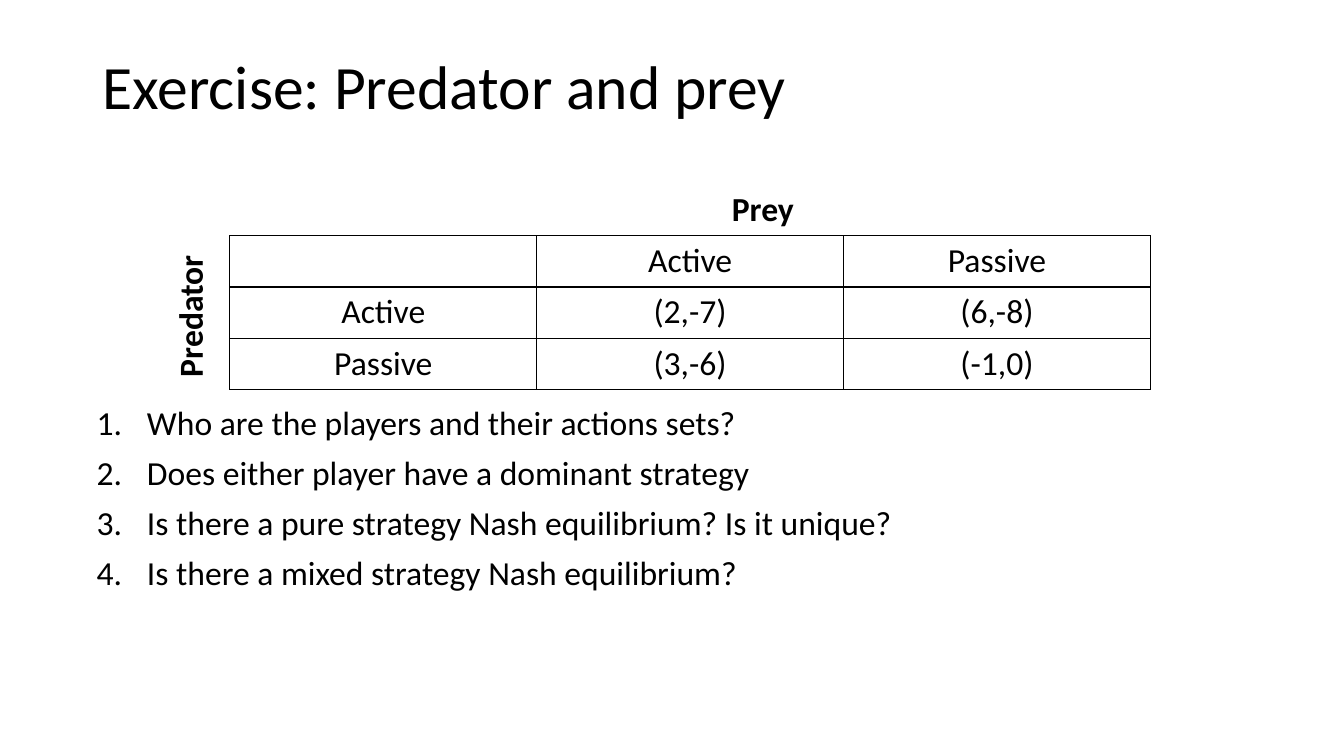
from dataclasses import dataclass

from lxml import etree
from pptx import Presentation
from pptx.dml.color import RGBColor
from pptx.enum.text import MSO_ANCHOR, PP_ALIGN
from pptx.oxml.ns import qn
from pptx.util import Inches, Pt

CENTER = PP_ALIGN.CENTER
TOP, MIDDLE = MSO_ANCHOR.TOP, MSO_ANCHOR.MIDDLE


@dataclass(frozen=True)
class Theme:
    font: str = "Calibri"
    ink: str = "000000"
    title_size: int = 44
    text_size: int = 24
    border_width: int = 1


THEME = Theme()

PAYOFFS = [
    ["", "Active", "Passive"],
    ["Active", "(2,-7)", "(6,-8)"],
    ["Passive", "(3,-6)", "(-1,0)"],
]
QUESTIONS = [
    "Who are the players and their actions sets?",
    "Does either player have a dominant strategy",
    "Is there a pure strategy Nash equilibrium? Is it unique?",
    "Is there a mixed strategy Nash equilibrium?",
]


def write(para, text, size=THEME.text_size, bold=False, **layout):
    """Add one styled span and set the paragraph's layout values."""
    for name, value in layout.items():
        setattr(para, name, value)
    span = para.add_run()
    span.text = text
    span.font.color.rgb = RGBColor.from_string(THEME.ink)
    for name, value in {"name": THEME.font, "size": Pt(size), "bold": bold}.items():
        setattr(span.font, name, value)


def add_text(page, area, lines, anchor=TOP, **style):
    """Add a wrapping text box with one paragraph per line."""
    box = page.shapes.add_textbox(*map(Inches, area))
    frame = box.text_frame
    frame.word_wrap = True
    frame.vertical_anchor = anchor
    for index, line in enumerate(lines):
        para = frame.add_paragraph() if index else frame.paragraphs[0]
        write(para, line, **style)
    return frame


def turn_upward(frame):
    """Make the text read from bottom to top."""
    frame._txBody.bodyPr.set("vert", "vert270")


def number_paragraphs(frame):
    """Number the paragraphs with a hanging indent."""
    indent = Inches(0.5)
    for para in frame.paragraphs:
        properties = para._p.get_or_add_pPr()
        properties.set("marL", str(indent))
        properties.set("indent", str(-indent))
        etree.SubElement(properties, qn("a:buFont"), typeface="+mj-lt")
        etree.SubElement(properties, qn("a:buAutoNum"), type="arabicPeriod")


def add_borders(cell):
    """Draw a solid line on all four sides of a cell."""
    properties = cell._tc.get_or_add_tcPr()
    for side in ("lnL", "lnR", "lnT", "lnB"):
        line = etree.SubElement(
            properties, qn(f"a:{side}"), w=str(Pt(THEME.border_width)))
        fill = etree.SubElement(line, qn("a:solidFill"))
        etree.SubElement(fill, qn("a:srgbClr"), val=THEME.ink)


def add_payoff_table(page, area, rows):
    """Add a plain bordered table with equal rows and columns."""
    table = page.shapes.add_table(
        len(rows), len(rows[0]), *map(Inches, area)).table
    table.first_row = False
    table.horz_banding = False
    for row, values in enumerate(rows):
        for column, value in enumerate(values):
            cell = table.cell(row, column)
            add_borders(cell)
            cell.fill.background()
            write(cell.text_frame.paragraphs[0], value, alignment=CENTER)


def main():
    deck = Presentation()
    deck.slide_width, deck.slide_height = Inches(13.33), Inches(7.5)
    blank_layout = deck.slide_layouts[6]
    page = deck.slides.add_slide(blank_layout)

    # Payoff matrix with the two player labels
    add_payoff_table(page, (2.28, 2.34, 9.13, 1.5), PAYOFFS)
    predator = add_text(page, (1.63, 2.34, 0.61, 1.5), ["Predator"], bold=True)
    turn_upward(predator)
    add_text(page, (7.16, 1.82, 2.12, 0.5), ["Prey"], bold=True)

    # Questions
    questions = add_text(page, (0.86, 3.98, 11.5, 3.13), QUESTIONS,
                         line_spacing=0.9, space_before=Pt(10))
    number_paragraphs(questions)

    # Title
    add_text(page, (0.92, 0.16, 11.5, 1.45), ["Exercise: Predator and prey"],
             anchor=MIDDLE, size=THEME.title_size, line_spacing=0.9)

    deck.save("out.pptx")


if __name__ == "__main__":
    main()
